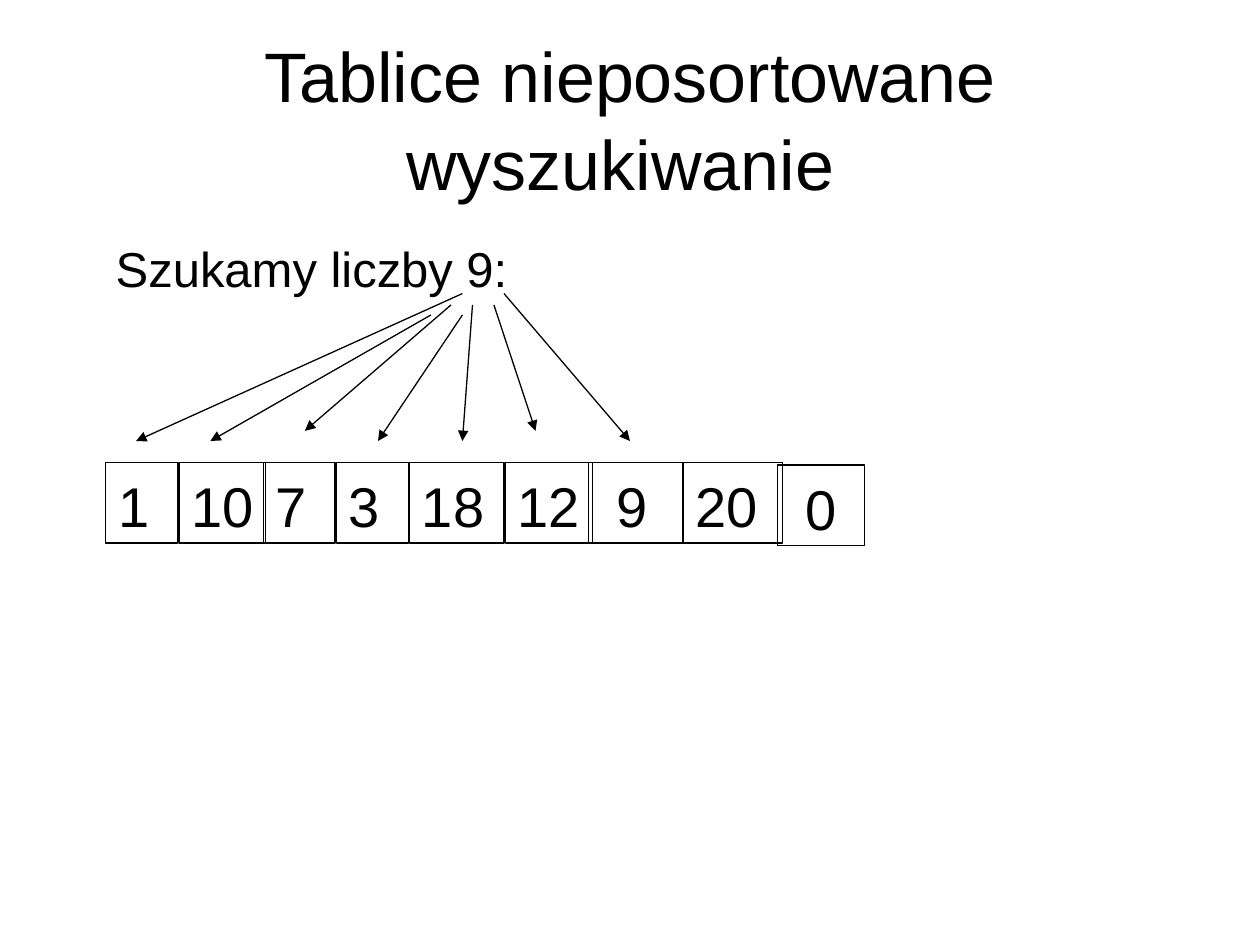
from dataclasses import dataclass

import pptx
import pptx.dml.color
import pptx.enum.shapes
import pptx.enum.text
import pptx.oxml.ns
import pptx.util
from lxml import etree

Inches = pptx.util.Inches
Align = pptx.enum.text.PP_ALIGN
Anchor = pptx.enum.text.MSO_ANCHOR


@dataclass(frozen=True)
class Theme:
    ink: pptx.dml.color.RGBColor = pptx.dml.color.RGBColor(0, 0, 0)
    face: str = "Arial"
    title: int = 40
    lead: int = 28
    digit: int = 32
    line: float = 0.75
    leading: float = 1.05


@dataclass(frozen=True)
class Cell:
    text: str
    left: float
    width: float
    top: float = 3.67
    inset: float = 0.1


@dataclass(frozen=True)
class Arrow:
    start: tuple[float, float]
    end: tuple[float, float]


THEME = Theme()
CELL_HEIGHT = 0.64

CELLS = [
    Cell("1", 0.84, 0.57),
    Cell("10", 1.42, 0.69),
    Cell("7", 2.09, 0.57),
    Cell("3", 2.67, 0.57),
    Cell("18", 3.25, 0.75),
    Cell("12", 4.01, 0.69),
    Cell("9", 4.67, 0.75, inset=0.22),
    Cell("20", 5.42, 0.79),
    Cell("0", 6.17, 0.69, top=3.69, inset=0.22),
]

ARROWS = [
    Arrow((3.67, 2.33), (1.08, 3.5)),
    Arrow((3.42, 2.5), (1.67, 3.5)),
    Arrow((3.58, 2.42), (2.42, 3.42)),
    Arrow((3.67, 2.5), (3, 3.5)),
    Arrow((3.75, 2.42), (3.67, 3.5)),
    Arrow((3.92, 2.42), (4.25, 3.42)),
    Arrow((4, 2.33), (5, 3.5)),
]


def apply(target, values: dict) -> None:
    for name, value in values.items():
        setattr(target, name, value)


def write(shape, text: str, size: int, align=Align.LEFT,
          anchor=Anchor.TOP, inset: float = 0.1) -> None:
    """Fill a shape with text; the right inset is zero for left-set text."""
    frame = shape.text_frame
    frame.text = text
    apply(frame, {
        "word_wrap": True,
        "vertical_anchor": anchor,
        "margin_left": Inches(inset),
        "margin_right": Inches(inset if align == Align.CENTER else 0),
        "margin_top": Inches(0.05),
        "margin_bottom": Inches(0.05),
    })
    para = frame.paragraphs[0]
    apply(para, {"alignment": align, "line_spacing": THEME.leading})
    for run in para.runs:
        apply(run.font, {"name": THEME.face, "size": pptx.util.Pt(size)})
        run.font.color.rgb = THEME.ink


def ink_line(shape) -> None:
    shape.line.color.rgb = THEME.ink
    shape.line.width = pptx.util.Pt(THEME.line)


def draw_cell(slide, cell: Cell) -> None:
    box = slide.shapes.add_shape(
        pptx.enum.shapes.MSO_SHAPE.RECTANGLE,
        *map(Inches, (cell.left, cell.top, cell.width, CELL_HEIGHT)))
    box.shadow.inherit = False
    box.fill.background()
    ink_line(box)
    write(box, cell.text, THEME.digit, inset=cell.inset)


def draw_arrow(slide, arrow: Arrow) -> None:
    link = slide.shapes.add_connector(
        pptx.enum.shapes.MSO_CONNECTOR.STRAIGHT,
        *map(Inches, (*arrow.start, *arrow.end)))
    ink_line(link)
    qn = pptx.oxml.ns.qn
    etree.SubElement(link.line._get_or_add_ln(), qn("a:tailEnd"), type="triangle")
    etree.SubElement(link._element.spPr, qn("a:effectLst"))


def main() -> None:
    deck = pptx.Presentation()
    apply(deck, {"slide_width": Inches(10), "slide_height": Inches(7.5)})
    slide = deck.slides.add_slide(deck.slide_layouts[5])

    title = slide.shapes.title
    apply(title, {"left": Inches(0.5), "top": Inches(0.3),
                  "width": Inches(9), "height": Inches(1.25)})
    write(title, "Tablice nieposortowane\vwyszukiwanie ", THEME.title,
          Align.CENTER, Anchor.MIDDLE)

    for cell in CELLS:
        draw_cell(slide, cell)
    lead = slide.shapes.add_textbox(*map(Inches, (0.82, 1.82, 3.31, 0.57)))
    write(lead, "Szukamy liczby 9:", THEME.lead)
    for arrow in ARROWS:
        draw_arrow(slide, arrow)

    deck.save("out.pptx")


if __name__ == "__main__":
    main()
